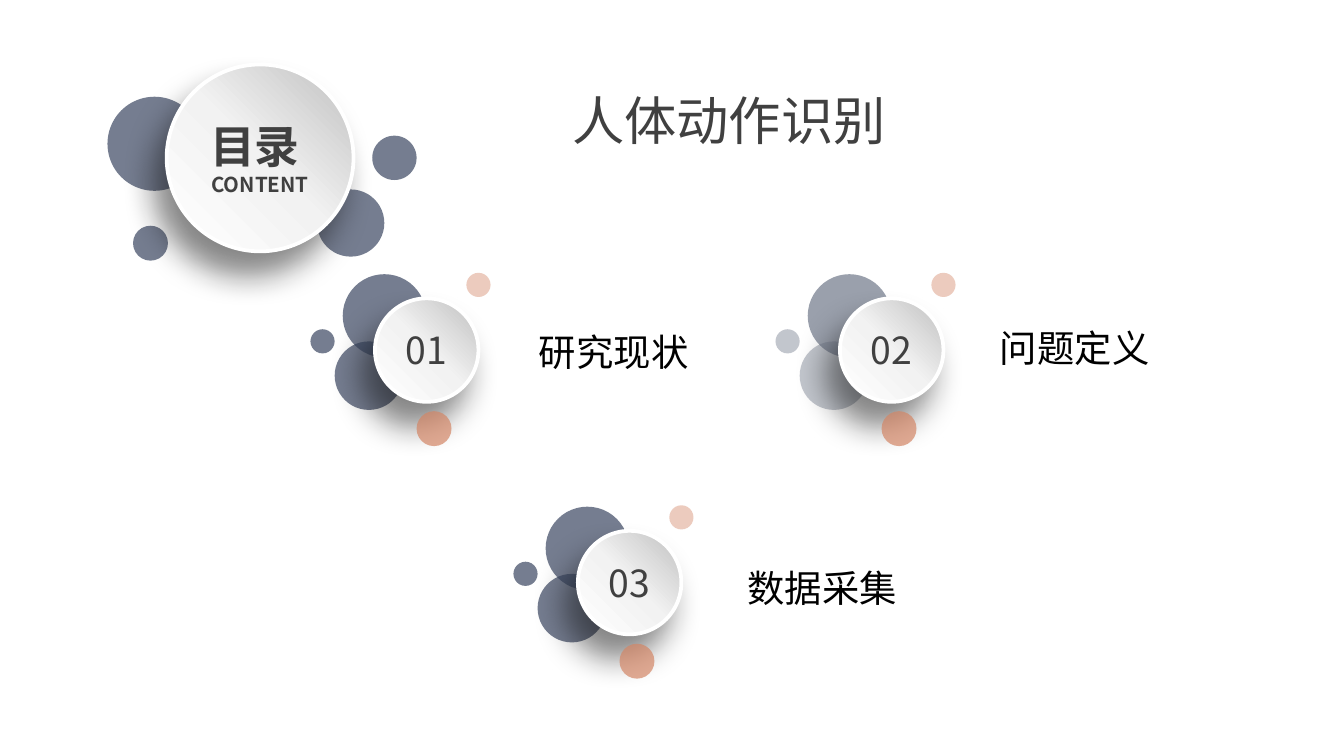
from lxml.etree import SubElement
from pptx import Presentation
from pptx.dml.color import RGBColor
from pptx.enum.shapes import MSO_SHAPE
from pptx.enum.text import MSO_ANCHOR, PP_ALIGN
from pptx.oxml.ns import qn
from pptx.util import Inches, Pt

# Content
TITLE = "人体动作识别"
CONTENTS = ("目录 ", "CONTENT")
# number, label, button left/top, label left/top, colours of large, medium and small dots
TOPICS = [
    ("01", "研究现状", (2.79, 2.22), (3.62, 2.58), ("navy", "navy", "navy")),
    ("03", "数据采集", (4.30, 3.95), (5.17, 4.34), ("navy", "navy", "navy")),
    ("02", "问题定义", (6.25, 2.22), (7.05, 2.55), ("slate", "mist", "mist")),
]

# Style
FONT = "Noto Sans CJK SC"
COLORS = {
    "navy": "3B4761", "slate": "70788A", "mist": "A9AEB9",
    "coral": "D38666", "pink": "E5B6A3",
    "white": "FFFFFF", "gray": "404040", "black": "000000", "shadow": "0D0D0D",
}
BUTTON_GRADIENT = [(0, "BFBFBF"), (50, "F2F2F2"), (100, "FFFFFF")]
BUTTON_SIZE = 0.77
SLIDE_WIDTH = Inches(10)
SLIDE_HEIGHT = SLIDE_WIDTH * 9 // 16


def rgb(name):
    return RGBColor.from_string(COLORS[name])


def style_run(run, size, color, bold=False):
    run.font.size = Pt(size)
    run.font.bold = bold
    run.font.color.rgb = rgb(color)
    run.font.name = FONT
    SubElement(run.font._element, qn("a:ea"), typeface=FONT)


def add_circle(group, left, top, size):
    circle = group.shapes.add_shape(
        MSO_SHAPE.OVAL, Inches(left), Inches(top), Inches(size), Inches(size))
    circle.shadow.inherit = False
    return circle


def add_dot(group, left, top, size, color):
    dot = add_circle(group, left, top, size)
    dot.fill.solid()
    dot.fill.fore_color.rgb = rgb(color)
    dot.line.fill.background()
    tint = dot._element.spPr.find(qn("a:solidFill"))[0]
    SubElement(tint, qn("a:alpha"), val="70000")


def add_button(group, left, top, size, lines, sizes, bold=False):
    button = add_circle(group, left, top, size)
    button.line.color.rgb = rgb("white")
    button.line.width = Pt(2)

    # Gradient from top right to bottom left
    button.fill.gradient()
    button.fill.gradient_angle = 225
    properties = button._element.spPr
    stops = properties.find(qn("a:gradFill")).find(qn("a:gsLst"))
    for stop in list(stops):
        stops.remove(stop)
    for position, color in BUTTON_GRADIENT:
        stop = SubElement(stops, qn("a:gs"), pos=str(position * 1000))
        SubElement(stop, qn("a:srgbClr"), val=color)

    # Soft shadow below
    shadow = SubElement(
        properties.find(qn("a:effectLst")), qn("a:outerShdw"),
        blurRad=str(Pt(17)), dist=str(Pt(14)), dir=str(120 * 60000),
        algn="ctr", rotWithShape="0")
    shade = SubElement(shadow, qn("a:srgbClr"), val=COLORS["shadow"])
    SubElement(shade, qn("a:alpha"), val="50000")

    frame = button.text_frame
    frame.vertical_anchor = MSO_ANCHOR.MIDDLE
    paragraph = frame.paragraphs[0]
    paragraph.text = "\v".join(lines)
    paragraph.alignment = PP_ALIGN.CENTER
    for run, font_size in zip(paragraph.runs, sizes):
        style_run(run, font_size, "gray", bold)


def add_text(parent, left, top, width, height, text, size, color):
    box = parent.shapes.add_textbox(
        Inches(left), Inches(top), Inches(width), Inches(height))
    frame = box.text_frame
    frame.word_wrap = False
    frame.text = text
    style_run(frame.paragraphs[0].runs[0], size, color)
    return frame


def add_topic(slide, number, label, button_at, label_at, dot_colors):
    group = slide.shapes.add_group_shape()
    x, y = button_at
    large, medium, small = dot_colors
    add_dot(group, x - 0.30, y + 0.32, 0.51, medium)
    add_dot(group, x - 0.24, y - 0.18, 0.62, large)
    add_button(group, x, y, BUTTON_SIZE, [number], [20])
    add_dot(group, x + 0.31, y + 0.84, 0.26, "coral")
    add_dot(group, x - 0.48, y + 0.23, 0.18, small)
    add_dot(group, x + 0.68, y - 0.19, 0.18, "pink")
    frame = add_text(group, *label_at, 2.15, 0.2, label, 20, "black")
    frame.vertical_anchor = MSO_ANCHOR.BOTTOM
    frame.margin_left = Inches(0.39)
    frame.margin_right = frame.margin_top = frame.margin_bottom = 0


def main():
    presentation = Presentation()
    presentation.slide_width = SLIDE_WIDTH
    presentation.slide_height = SLIDE_HEIGHT
    slide = presentation.slides.add_slide(presentation.slide_layouts[6])

    # Topics
    for topic in TOPICS:
        add_topic(slide, *topic)

    # Contents badge
    badge = slide.shapes.add_group_shape()
    for left, top, size in [(0.99, 1.68, 0.26), (2.36, 1.41, 0.5), (0.8, 0.72, 0.7)]:
        add_dot(badge, left, top, size, "navy")
    add_button(badge, 1.24, 0.48, 1.39, CONTENTS, [24, 11], bold=True)
    add_dot(badge, 2.77, 1.01, 0.33, "navy")

    # Title
    add_text(slide, 4.16, 0.61, 2.77, 0.67, TITLE, 28, "gray")

    presentation.save("out.pptx")


if __name__ == "__main__":
    main()
